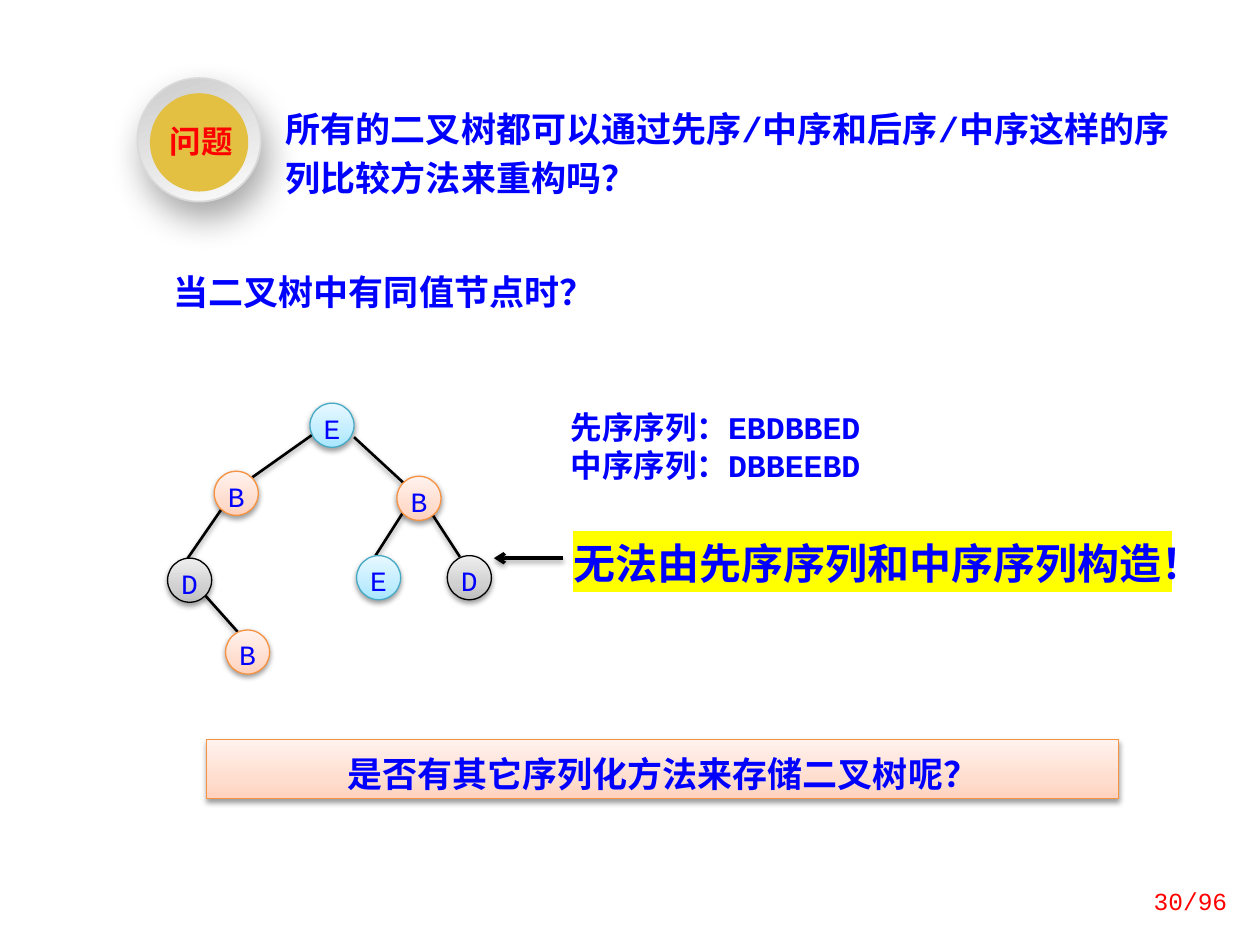
from dataclasses import dataclass

from lxml.etree import SubElement
from pptx import Presentation
from pptx.dml.color import RGBColor
from pptx.enum.shapes import MSO_CONNECTOR as Conn, MSO_SHAPE as Shape
from pptx.enum.text import MSO_ANCHOR as Anchor, MSO_AUTO_SIZE as Auto, PP_ALIGN as Align
from pptx.oxml.ns import qn
from pptx.util import Inches, Pt

COLS, ROWS = 100, 75


@dataclass(frozen=True)
class Theme:
    mono: str = "Courier New"
    cjk: str = "Noto Sans CJK SC"
    ink: str = "0000FF"
    alert: str = "FF0000"
    black: str = "000000"
    gold: str = "E3BF42"
    marker: str = "FFFF00"
    rim: str = "D9D9D9"
    ring: tuple = ((0, "CCCCCC"), (100, "FCFCFC"))
    # Each tint: gradient stops and outline
    blue: tuple = (((0, "A7E6FF"), (35, "C1EDFF"), (100, "E7F8FF")), "46AAC5")
    orange: tuple = (((0, "FFD2BD"), (35, "FFDED0"), (100, "FFF2ED")), "F69240")
    grey: tuple = (((0, "BDBDBD"), (35, "D1D1D1"), (100, "EEEEEE")), "000000")
    # Each shadow: opacity %, blur pt, distance pt, direction
    soft: tuple = (38, 3.1, 1.6, 90)
    deep: tuple = (34, 20, 10, 70)
    note: int = 14
    node: int = 16
    label: int = 18
    body: int = 20
    verdict: int = 24


T = Theme()


def element(parent, tag, **attrs):
    return SubElement(parent, qn(tag), {k: str(v) for k, v in attrs.items()})


def write(tf, text, size=T.body, color=T.ink, font=T.mono, bold=False,
          align=Align.LEFT, spacing=None, indent=0, highlight=None):
    """Fill a text frame, one paragraph for each line of text."""
    for i, line in enumerate(text.split("\n")):
        p = tf.paragraphs[0] if i == 0 else tf.add_paragraph()
        p.alignment, p.line_spacing = align, spacing
        if indent:
            p._p.get_or_add_pPr().set("marL", str(Inches(indent)))
        r = p.add_run()
        r.text = line
        r.font.size, r.font.bold, r.font.name = Pt(size), bold, font
        r.font.color.rgb = RGBColor.from_string(color)
        rPr = r._r.get_or_add_rPr()
        latin = rPr.find(qn("a:latin"))
        latin.addnext(element(rPr, "a:ea", typeface=T.cjk))
        if highlight:
            mark = element(rPr, "a:highlight")
            element(mark, "a:srgbClr", val=highlight)
            latin.addprevious(mark)


class Board:
    """The style and the current slide; places are in grid cells."""

    def __init__(self, prs, theme):
        self.theme = theme
        self.s = prs.slides.add_slide(prs.slide_layouts[6])
        self.cell_w, self.cell_h = prs.slide_width / COLS, prs.slide_height / ROWS

    def place(self, *cells):
        return [round(c * (self.cell_h if i % 2 else self.cell_w)) for i, c in enumerate(cells)]

    def shadow(self, sp, style=None):
        effects = element(sp._element.spPr, "a:effectLst")
        if style:
            alpha, blur, dist, angle = style
            outer = element(effects, "a:outerShdw", blurRad=Pt(blur), dist=Pt(dist),
                            dir=angle * 60000, rotWithShape=0)
            color = element(outer, "a:srgbClr", val=self.theme.black)
            element(color, "a:alpha", val=alpha * 1000)

    def gradient(self, sp, stops, angle):
        sp.fill.gradient()
        grad = sp._element.spPr.find(qn("a:gradFill"))
        gs_list = grad.find(qn("a:gsLst"))
        for gs in list(gs_list):
            gs_list.remove(gs)
        for pos, color in stops:
            element(element(gs_list, "a:gs", pos=pos * 1000), "a:srgbClr", val=color)
        grad.find(qn("a:lin")).set("ang", str(angle * 60000))

    def shape(self, kind, at, fill, line=None, width=0.75, angle=270, shadow=None):
        sp = self.s.shapes.add_shape(kind, *self.place(*at))
        if isinstance(fill, str):
            sp.fill.solid()
            sp.fill.fore_color.rgb = RGBColor.from_string(fill)
        else:
            self.gradient(sp, fill, angle)
        if line:
            sp.line.color.rgb = RGBColor.from_string(line)
            sp.line.width = Pt(width)
        else:
            sp.line.fill.background()
        self.shadow(sp, shadow)
        return sp

    def text(self, at, text, wrap=True, grow=True, anchor=Anchor.TOP, **fmt):
        tf = self.s.shapes.add_textbox(*self.place(*at)).text_frame
        tf.word_wrap, tf.vertical_anchor = wrap, anchor
        tf.auto_size = Auto.SHAPE_TO_FIT_TEXT if grow else Auto.NONE
        write(tf, text, **fmt)

    def line(self, *ends, width=1.5, arrow=False):
        cx = self.s.shapes.add_connector(Conn.STRAIGHT, *self.place(*ends))
        cx.line.color.rgb = RGBColor.from_string(self.theme.black)
        cx.line.width = Pt(width)
        if arrow:
            element(cx.line._get_or_add_ln(), "a:tailEnd", type="arrow")
        self.shadow(cx, self.theme.soft)

    def node(self, left, top, letter, tint, size=3.5):
        sp = self.shape(Shape.OVAL, (left, top, size, size), *tint, shadow=self.theme.soft)
        tf = sp.text_frame
        tf.margin_left = tf.margin_top = tf.margin_right = tf.margin_bottom = 0
        tf.vertical_anchor = Anchor.TOP
        write(tf, letter, size=self.theme.node, align=Align.CENTER, spacing=Pt(20))

    def banner(self, at, text, tint):
        sp = self.shape(Shape.RECTANGLE, at, *tint, shadow=self.theme.soft)
        sp.text_frame.vertical_anchor = Anchor.TOP
        write(sp.text_frame, text, bold=True, align=Align.CENTER, spacing=Pt(28))


def main():
    prs = Presentation()
    prs.slide_width, prs.slide_height = Inches(10), Inches(7.5)
    b = Board(prs, T)

    # Question badge
    b.shape(Shape.OVAL, (10.9, 6.2, 9.8, 9.8), T.ring, T.rim, width=1, angle=70, shadow=T.deep)
    b.shape(Shape.OVAL, (11.9, 7.4, 7.8, 7.8), T.gold)
    b.text((12.4, 9.8, 7.1, 3.4), "问题", wrap=False, size=T.label, color=T.alert,
           font=T.cjk, bold=True, align=Align.CENTER, spacing=0.8)

    # Question and hint
    b.text((21.7, 7.5, 72.4, 8.6),
           "所有的二叉树都可以通过先序/中序和后序/中序这样的序列比较方法来重构吗？",
           bold=True, spacing=Pt(28))
    b.text((10.3, 20.4, 82.8, 4.7), "当二叉树中有同值节点时？",
           bold=True, spacing=Pt(28), indent=0.25)

    # Binary tree: branches below, nodes on top
    branches = [(24.8, 34.5, 20, 37.9), (28.1, 34.7, 32, 38.3), (18, 39.8, 14.9, 44.3),
                (32.1, 40.5, 29.8, 44.1), (33.9, 40.2, 36.5, 44.2), (15.7, 46.6, 19, 50.3)]
    for ends in branches:
        b.line(*ends)
    tints = {"E": T.blue, "B": T.orange, "D": T.grey}
    nodes = [(24.6, 32, "E"), (17, 37.4, "B"), (31.5, 37.8, "B"), (28.3, 44.1, "E"),
             (35.5, 44.1, "D"), (13.3, 44.3, "D"), (17.9, 50, "B")]
    for left, top, letter in nodes:
        b.node(left, top, letter, tints[letter])

    # Sequences and verdict
    b.text((44.3, 31.9, 28.9, 7.1), "先序序列：EBDBBED\n中序序列：DBBEEBD",
           size=T.label, bold=True)
    b.text((44.5, 42.2, 49.5, 5), "无法由先序序列和中序序列构造！",
           size=T.verdict, bold=True, highlight=T.marker)
    b.line(44.7, 44.3, 39.2, 44.3, width=2, arrow=True)

    # Closing question and page number
    b.banner((16.4, 58.7, 72.4, 4.7), "是否有其它序列化方法来存储二叉树呢？", T.orange)
    b.text((87.8, 69.5, 10.6, 4), "30/96", grow=False, anchor=Anchor.MIDDLE,
           size=T.note, color=T.alert, align=Align.RIGHT)

    prs.save("out.pptx")


if __name__ == "__main__":
    main()
